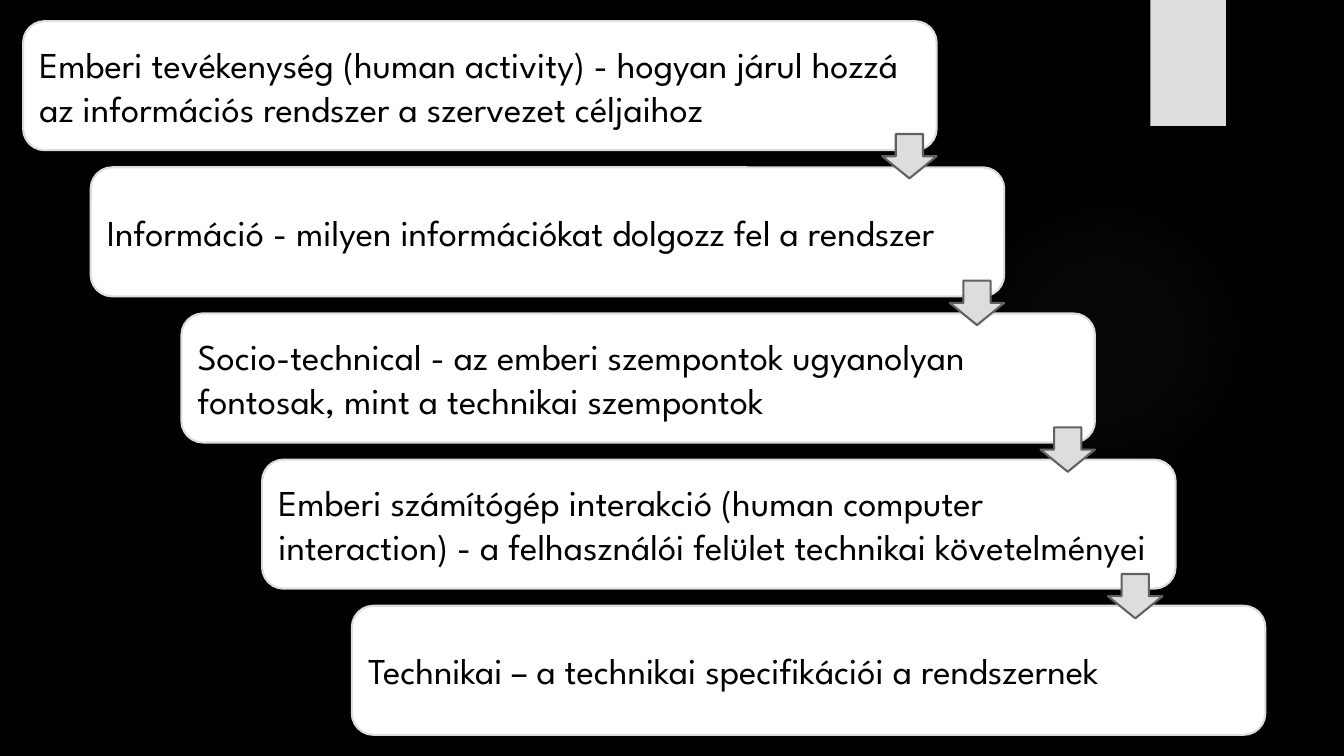
"""Build a slide of five cascading information system layers linked by arrows."""
from lxml import etree
from pptx import Presentation
from pptx import util as u
from pptx.dml.color import RGBColor
from pptx.enum import shapes, text
from pptx.oxml import ns

BLACK = RGBColor(0x00, 0x00, 0x00)
WHITE = RGBColor(0xFF, 0xFF, 0xFF)
SILVER = RGBColor(0xDD, 0xDD, 0xDD)
GREY = RGBColor(0x61, 0x61, 0x61)
GLOW = RGBColor(0x66, 0x66, 0x66)

CARD_WIDTH, CARD_HEIGHT = 9.06, 1.28
FIRST_TOP, CARD_PITCH = 0.21, 1.45
ARROW_WIDTH, ARROW_HEIGHT = 0.54, 0.44
FIRST_ARROW_TOP, ARROW_PITCH = 1.33, 1.455

LAYERS = [
    (0.23, "Emberi tevékenység (human activity) - hogyan járul hozzá az információs rendszer a szervezet céljaihoz"),
    (0.9, "Információ - milyen információkat dolgozz fel a rendszer"),
    (1.8, "Socio-technical - az emberi szempontok ugyanolyan fontosak, mint a technikai szempontok"),
    (2.6, "Emberi számítógép interakció (human computer interaction) - a felhasználói felület technikai követelményei"),
    (3.49, "Technikai – a technikai specifikációi a rendszernek"),
]
ARROW_LEFTS = [8.75, 9.42, 10.32, 10.99]

prs = Presentation()
prs.slide_width, prs.slide_height = u.Inches(13.33), u.Inches(7.5)
slide = prs.slides.add_slide(prs.slide_layouts[6])
slide.background.fill.solid()
slide.background.fill.fore_color.rgb = BLACK


def add_block(preset, left, top, width, height, fill, line=None):
    block = slide.shapes.add_shape(preset, *map(u.Inches, (left, top, width, height)))
    block.shadow.inherit = False
    block.fill.solid()
    block.fill.fore_color.rgb = fill
    if line is None:
        block.line.fill.background()
    else:
        block.line.color.rgb = line
        block.line.width = u.Pt(1.5)
    return block


glow = add_block(shapes.MSO_SHAPE.OVAL, 9.41, 1.83, 3.08, 3.08, GLOW)
solid = glow.fill._xPr.find(ns.qn("a:solidFill"))
gradient = etree.Element(ns.qn("a:gradFill"), rotWithShape="1")
stops = etree.SubElement(gradient, ns.qn("a:gsLst"))
for position, opacity in [(0, 7), (36, 6), (69, 0)]:
    stop = etree.SubElement(stops, ns.qn("a:gs"), pos=str(position * 1000))
    color = etree.SubElement(stop, ns.qn("a:srgbClr"), val=str(GLOW))
    etree.SubElement(color, ns.qn("a:alpha"), val=str(opacity * 1000))
circle = etree.SubElement(gradient, ns.qn("a:path"), path="circle")
etree.SubElement(circle, ns.qn("a:fillToRect"), l="50000", t="50000", r="50000", b="50000")
solid.getparent().replace(solid, gradient)

add_block(shapes.MSO_SHAPE.RECTANGLE, 11.41, 0, 0.75, 1.25, SILVER)

font_format = {"name": "League Spartan", "size": u.Pt(26)}
for row, (left, wording) in enumerate(LAYERS):
    card = add_block(shapes.MSO_SHAPE.ROUNDED_RECTANGLE, left, FIRST_TOP + row * CARD_PITCH,
                     CARD_WIDTH, CARD_HEIGHT, WHITE, SILVER)
    frame = card.text_frame
    frame.word_wrap = True
    frame.vertical_anchor = text.MSO_ANCHOR.MIDDLE
    paragraph = frame.paragraphs[0]
    paragraph.alignment = text.PP_ALIGN.LEFT
    run = paragraph.add_run()
    run.text = wording
    for attribute, value in font_format.items():
        setattr(run.font, attribute, value)
    run.font.color.rgb = BLACK

for row, left in enumerate(ARROW_LEFTS):
    add_block(shapes.MSO_SHAPE.DOWN_ARROW, left, FIRST_ARROW_TOP + row * ARROW_PITCH,
              ARROW_WIDTH, ARROW_HEIGHT, SILVER, GREY)

prs.save("out.pptx")
